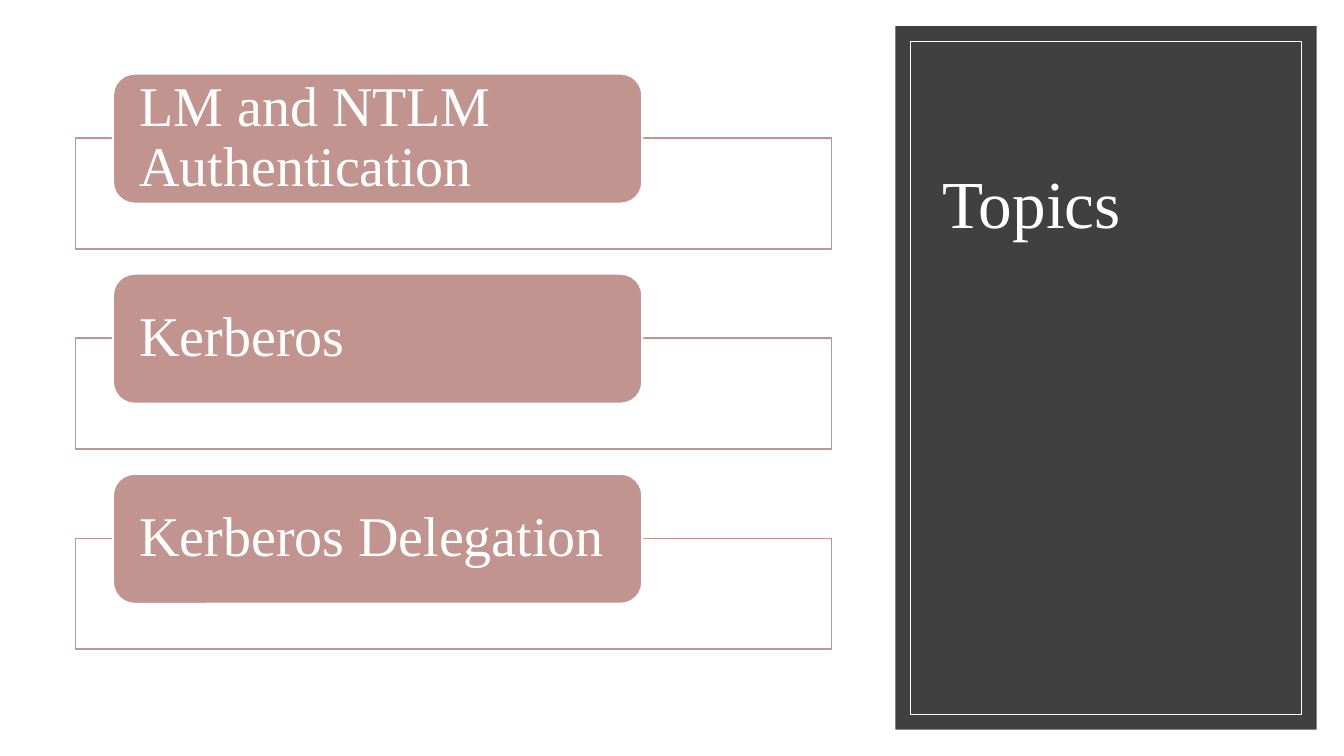
"""Build the Topics slide: three labelled frames beside a dark title panel."""
from pptx import Presentation
from pptx.dml.color import RGBColor
from pptx.enum.shapes import MSO_SHAPE as Shape
from pptx.enum.text import MSO_ANCHOR as Anchor, PP_ALIGN as Align
from pptx.util import Pt

TITLE = "Topics"
TOPICS = ["LM and NTLM Authentication", "Kerberos", "Kerberos Delegation"]

FONT = "Times New Roman"
WHITE, ROSE, CHARCOAL = "FFFFFF", "C2948F", "404040"

PX = 9144
SLIDE_SIZE = (1333, 750)
PANEL = (888, 26, 418, 698)
PANEL_INSET = 15
TITLE_BOX = (925, 66, 346, 180)
FRAME_LEFT, FRAME_TOP, FRAME_WIDTH, FRAME_HEIGHT = 75, 137, 750, 110
LABEL_LEFT, LABEL_RISE, LABEL_WIDTH, LABEL_HEIGHT = 112, 64, 525, 129
LABEL_MARGIN = 20
TOPIC_PITCH = 198.5


def emu(box):
    return [round(length * PX) for length in box]


def color(hex_code):
    return RGBColor.from_string(hex_code)


def add_block(slide, kind, box, fill=None, line=None, line_pt=1):
    block = slide.shapes.add_shape(kind, *emu(box))
    block.shadow.inherit = False
    if fill:
        block.fill.solid()
        block.fill.fore_color.rgb = color(fill)
    else:
        block.fill.background()
    if line:
        block.line.color.rgb = color(line)
        block.line.width = Pt(line_pt)
    else:
        block.line.fill.background()
    return block


def write(block, words, size, anchor):
    frame = block.text_frame
    frame.word_wrap = True
    frame.vertical_anchor = anchor
    paragraph = frame.paragraphs[0]
    paragraph.alignment = Align.LEFT
    paragraph.line_spacing = 0.9
    run = paragraph.add_run()
    run.text = words
    run.font.size = Pt(size)
    run.font.name = FONT
    run.font.color.rgb = color(WHITE)
    return frame


def add_panel(slide):
    left, top, width, height = PANEL
    add_block(slide, Shape.RECTANGLE, PANEL, CHARCOAL)
    border = (left + PANEL_INSET, top + PANEL_INSET,
              width - 2 * PANEL_INSET, height - 2 * PANEL_INSET)
    add_block(slide, Shape.RECTANGLE, border, line=WHITE, line_pt=0.5)
    write(slide.shapes.add_textbox(*emu(TITLE_BOX)), TITLE, 48, Anchor.BOTTOM)


def add_topic(slide, position, topic):
    top = FRAME_TOP + position * TOPIC_PITCH
    add_block(slide, Shape.RECTANGLE, (FRAME_LEFT, top, FRAME_WIDTH, FRAME_HEIGHT),
              WHITE, ROSE)
    label = add_block(slide, Shape.ROUNDED_RECTANGLE,
                      (LABEL_LEFT, top - LABEL_RISE, LABEL_WIDTH, LABEL_HEIGHT),
                      ROSE, WHITE, 1.5)
    frame = write(label, topic, 40, Anchor.MIDDLE)
    frame.margin_left = frame.margin_right = LABEL_MARGIN * PX
    frame.margin_top = frame.margin_bottom = 0


def main():
    deck = Presentation()
    deck.slide_width, deck.slide_height = emu(SLIDE_SIZE)
    slide = deck.slides.add_slide(deck.slide_layouts[6])
    add_panel(slide)
    for position, topic in enumerate(TOPICS):
        add_topic(slide, position, topic)
    deck.save("out.pptx")


if __name__ == "__main__":
    main()
